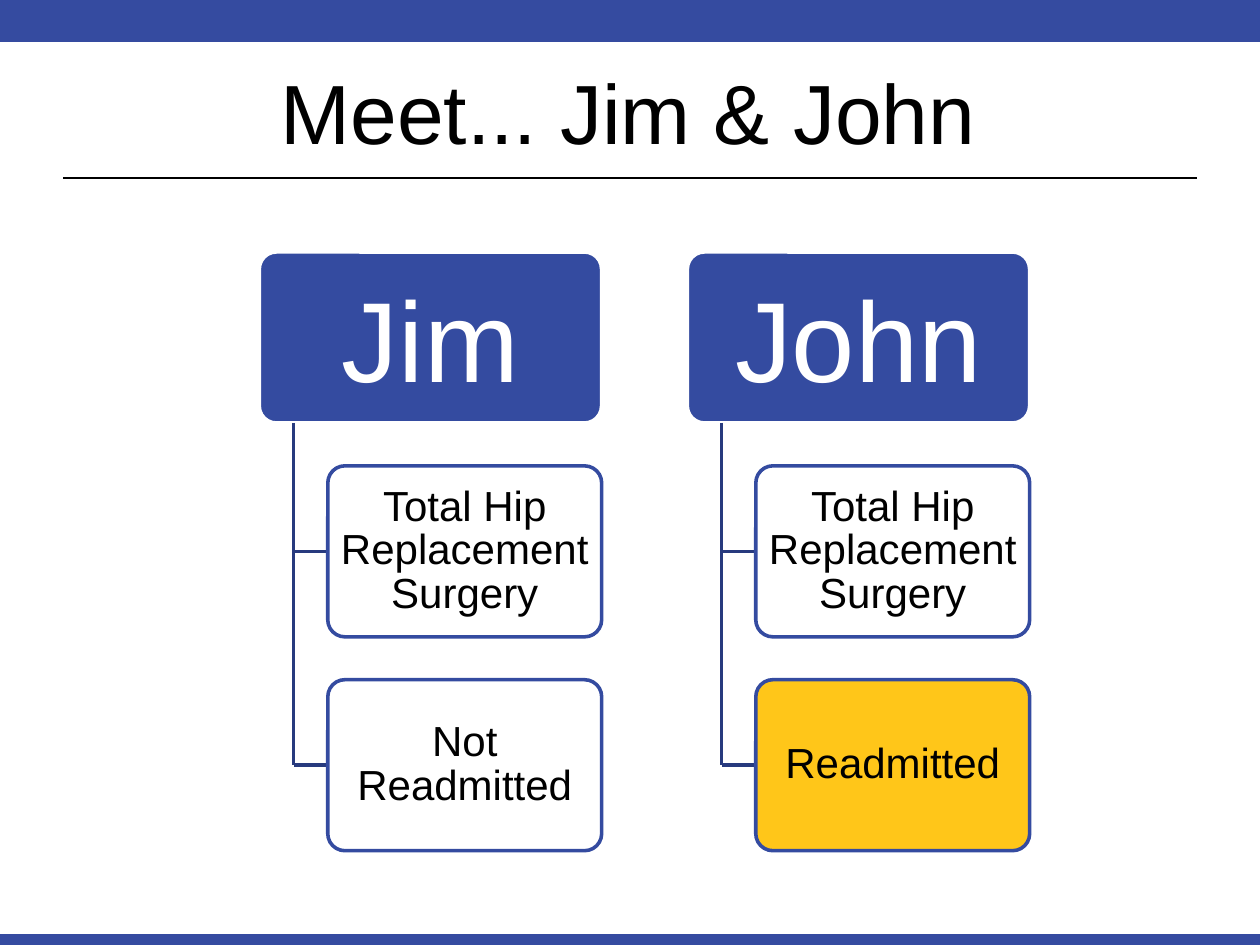
from lxml import etree
from pptx import Presentation
from pptx.dml.color import RGBColor
from pptx.enum import shapes, text
from pptx.oxml.ns import qn
from pptx.util import Pt

BLUE = RGBColor(0x34, 0x4B, 0xA0)
BAND_BLUE = RGBColor(0x35, 0x4B, 0xA0)
BRANCH_BLUE = RGBColor(0x27, 0x3A, 0x7E)
GOLD = RGBColor(0xFF, 0xC0, 0x00)
WHITE = RGBColor(0xFF, 0xFF, 0xFF)
BLACK = RGBColor(0, 0, 0)

SLIDE_W, SLIDE_H = 720, 540
CARD_H, CARD_STEP = 97.7, 122.2
TRUNK_INDENT, CHILD_INDENT = 19.6, 39.1
PATIENTS = [
    ("Jim", [("Total Hip Replacement Surgery", WHITE), ("Not Readmitted", WHITE)]),
    ("John", [("Total Hip Replacement Surgery", WHITE), ("Readmitted", GOLD)]),
]


def write(shape, wording, size, color=BLACK, spacing=None,
          anchor=text.MSO_ANCHOR.MIDDLE):
    frame = shape.text_frame
    frame.word_wrap = True
    frame.auto_size = text.MSO_AUTO_SIZE.NONE
    frame.vertical_anchor = anchor
    frame.margin_left = frame.margin_right = 0
    frame.margin_top = frame.margin_bottom = 0
    paragraph = frame.paragraphs[0]
    paragraph.alignment = text.PP_ALIGN.CENTER
    if spacing:
        paragraph.line_spacing = Pt(spacing)
    run = paragraph.add_run()
    run.text = wording
    run.font.name, run.font.size, run.font.bold = "Arial", Pt(size), False
    run.font.color.rgb = color


def add_line(slide, x1, y1, x2, y2, color, width):
    line = slide.shapes.add_connector(
        shapes.MSO_CONNECTOR.STRAIGHT, Pt(x1), Pt(y1), Pt(x2), Pt(y2))
    line.line.color.rgb = color
    line.line.width = Pt(width)
    etree.SubElement(line._element.spPr, qn("a:effectLst"))
    return line


def add_card(slide, x, y, w, h, fill, outline, opacity=100):
    card = slide.shapes.add_shape(
        shapes.MSO_SHAPE.ROUNDED_RECTANGLE, Pt(x), Pt(y), Pt(w), Pt(h))
    card.adjustments[0] = 0.1
    card.shadow.inherit = False
    card.fill.solid()
    card.fill.fore_color.rgb = fill
    card.line.color.rgb = outline
    card.line.width = Pt(2.04)
    if opacity < 100:
        color = card._element.spPr.find(qn("a:solidFill"))[0]
        etree.SubElement(color, qn("a:alpha"), val=str(opacity * 1000))
    return card


def add_bands(slide, w, h):
    top = slide.shapes.add_shape(shapes.MSO_SHAPE.RECTANGLE, 0, 0, Pt(w), Pt(24))
    top.shadow.inherit = False
    top.fill.solid()
    top.fill.fore_color.rgb = BAND_BLUE
    top.line.fill.background()
    add_line(slide, 0, h - 3, w, h - 3, BAND_BLUE, 6.12)


def add_heading(slide, x, y, w, h):
    title = slide.shapes.title
    title.left, title.top, title.width, title.height = Pt(x), Pt(y), Pt(w), Pt(h)
    write(title, "Meet... Jim & John", 48, anchor=text.MSO_ANCHOR.BOTTOM)
    add_line(slide, 36, 101.5, SLIDE_W - 36, 101.5, BLACK, 1.2)


def add_patient(slide, x, y, w, name, events):
    header = add_card(slide, x, y, w, CARD_H, BLUE, WHITE)
    write(header, name, 65, WHITE)

    # Trunk down to the middle of the last event
    trunk_x = x + TRUNK_INDENT
    last_middle = y + len(events) * CARD_STEP + CARD_H / 2
    add_line(slide, trunk_x, y + CARD_H, trunk_x, last_middle, BRANCH_BLUE, 2.04)

    # Events, each with its branch
    child_x = x + CHILD_INDENT
    for row, (event, fill) in enumerate(events, start=1):
        child_y = y + row * CARD_STEP
        middle = child_y + CARD_H / 2
        branch = add_line(slide, trunk_x, middle, child_x, middle, BRANCH_BLUE, 2.04)
        card = add_card(slide, child_x, child_y, w - CHILD_INDENT, CARD_H,
                        fill, BLUE, opacity=90)
        write(card, event, 24, spacing=24.8)
        branch.end_connect(card, 1)


def main():
    deck = Presentation()
    deck.slide_width, deck.slide_height = Pt(SLIDE_W), Pt(SLIDE_H)
    slide = deck.slides.add_slide(deck.slide_layouts[5])
    add_bands(slide, SLIDE_W, SLIDE_H)
    add_heading(slide, 155, 32, 408, 60)
    for column, (name, events) in enumerate(PATIENTS):
        add_patient(slide, 148.2 + column * 244.6, 144, 195.6, name, events)
    deck.save("out.pptx")


if __name__ == "__main__":
    main()
